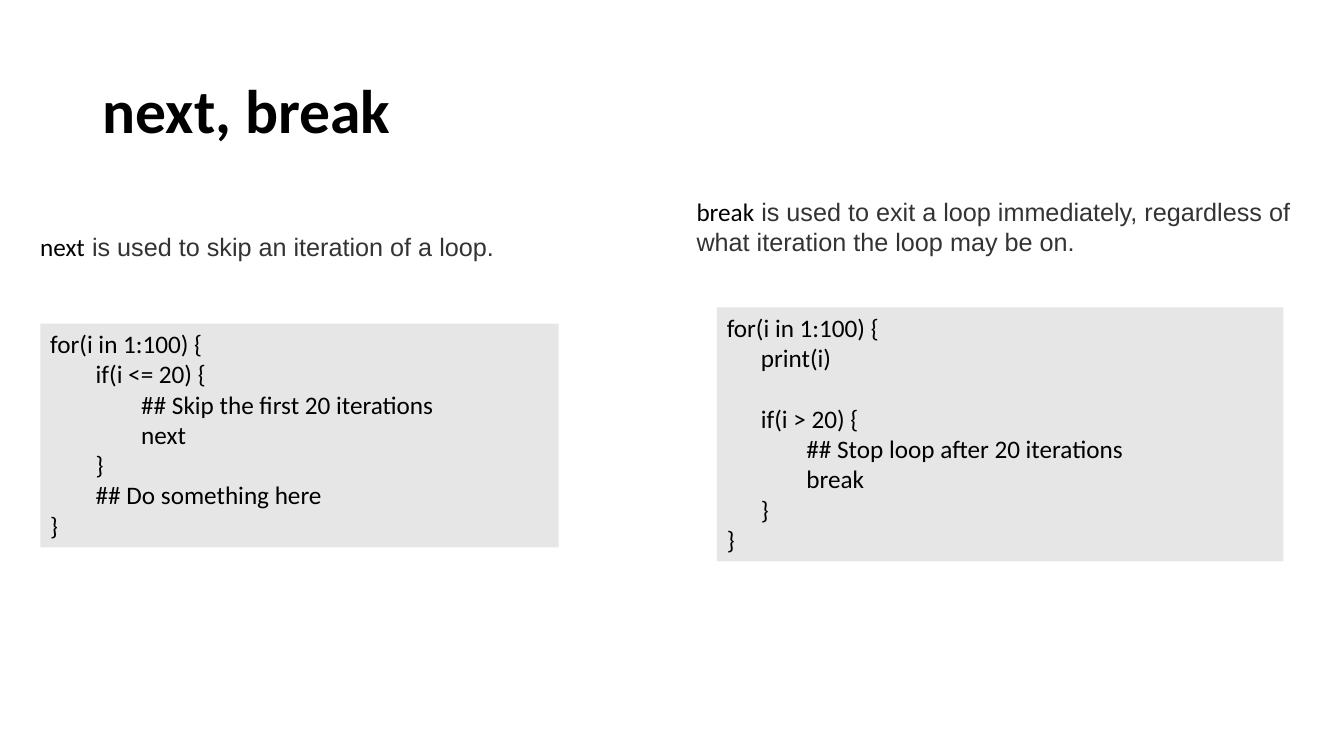
from pptx import Presentation
from pptx.dml.color import RGBColor
from pptx.enum.shapes import MSO_SHAPE
from pptx.enum.text import MSO_ANCHOR, PP_ALIGN
from pptx.util import Pt

RECTANGLE = MSO_SHAPE.RECTANGLE
MIDDLE, TOP = MSO_ANCHOR.MIDDLE, MSO_ANCHOR.TOP
LEFT = PP_ALIGN.LEFT

PX = 9144  # 100 px to the inch
BLACK, DARK_GREY, LIGHT_GREY = "000000", "333333", "E7E6E6"

NEXT_CODE = """for(i in 1:100) {
        if(i <= 20) {
                ## Skip the first 20 iterations
                next
        }
        ## Do something here
}"""

BREAK_CODE = """for(i in 1:100) {
      print(i)

      if(i > 20) {
              ## Stop loop after 20 iterations
              break
      }
}"""

# keyword, explanation, explanation box, code, code box
STATEMENTS = [
    ("next", " is used to skip an iteration of a loop.",
     (30, 225, 481, 40), NEXT_CODE, (40, 321, 514, 222)),
    ("break", " is used to exit a loop immediately, regardless of "
     "what iteration the loop may be on.",
     (681, 190, 622, 71), BREAK_CODE, (711, 305, 562, 252)),
]


def rgb(color):
    return RGBColor.from_string(color)


def style(font, name, size, color, bold=False):
    font.name = name
    font.size = Pt(size)
    font.bold = bold
    font.color.rgb = rgb(color)


prs = Presentation()
prs.slide_width, prs.slide_height = 1333 * PX, 750 * PX
slide = prs.slides.add_slide(prs.slide_layouts[6])

title = slide.shapes.add_textbox(*(n * PX for n in (92, 40, 1150, 145))).text_frame
title.word_wrap = True
title.vertical_anchor = MIDDLE
title.text = "next, break"
title.paragraphs[0].line_spacing = 0.9
style(title.paragraphs[0].runs[0].font, "Calibri", 44, BLACK, bold=True)

for keyword, explanation, explanation_box, code, code_box in STATEMENTS:
    sentence = slide.shapes.add_textbox(*(n * PX for n in explanation_box)).text_frame
    sentence.word_wrap = True
    for text, font_name, color in ((keyword, "Calibri", BLACK),
                                   (explanation, "Arial", DARK_GREY)):
        run = sentence.paragraphs[0].add_run()
        run.text = text
        style(run.font, font_name, 18, color)

    panel = slide.shapes.add_shape(RECTANGLE, *(n * PX for n in code_box))
    panel.shadow.inherit = False
    panel.fill.solid()
    panel.fill.fore_color.rgb = rgb(LIGHT_GREY)
    panel.line.fill.background()
    listing = panel.text_frame
    listing.word_wrap = True
    listing.vertical_anchor = TOP
    listing.text = code
    for line in listing.paragraphs:
        line.alignment = LEFT
        style(line.font, "Calibri", 18, BLACK)
        for run in line.runs:
            style(run.font, "Calibri", 18, BLACK)

prs.save("out.pptx")
